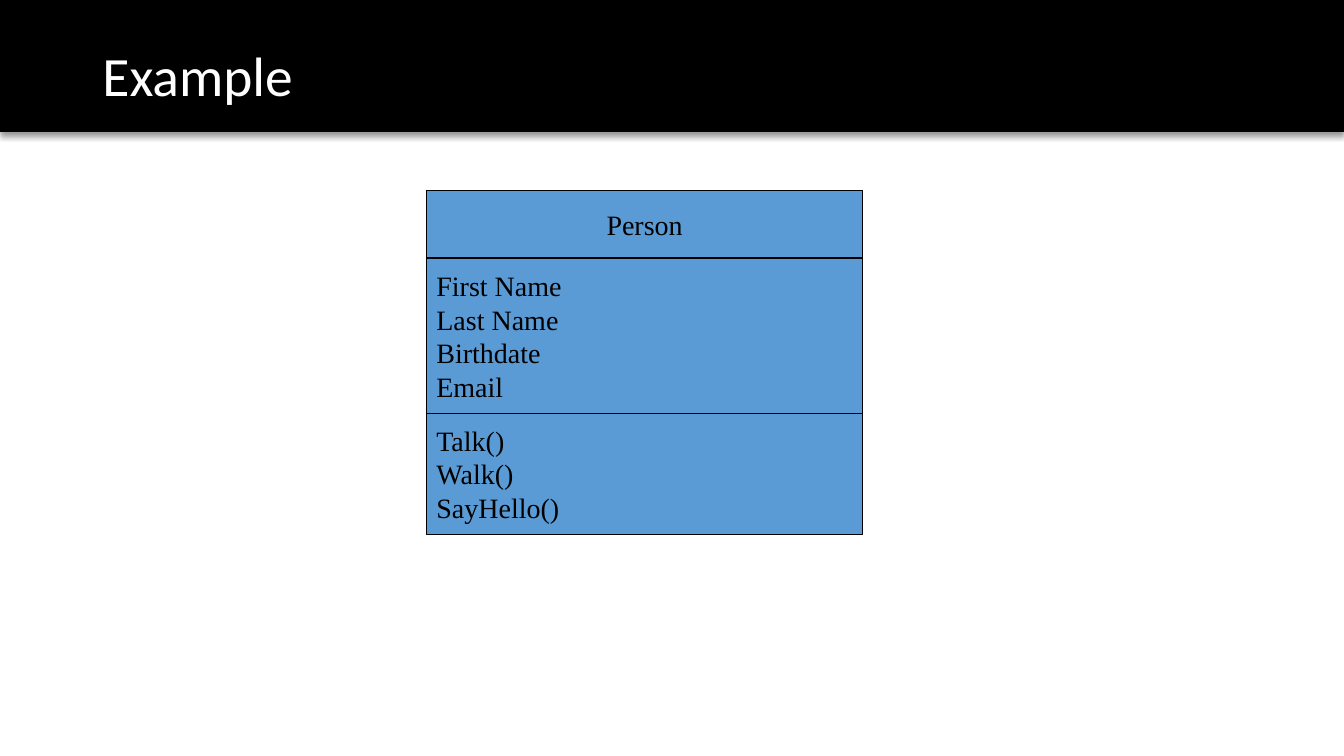
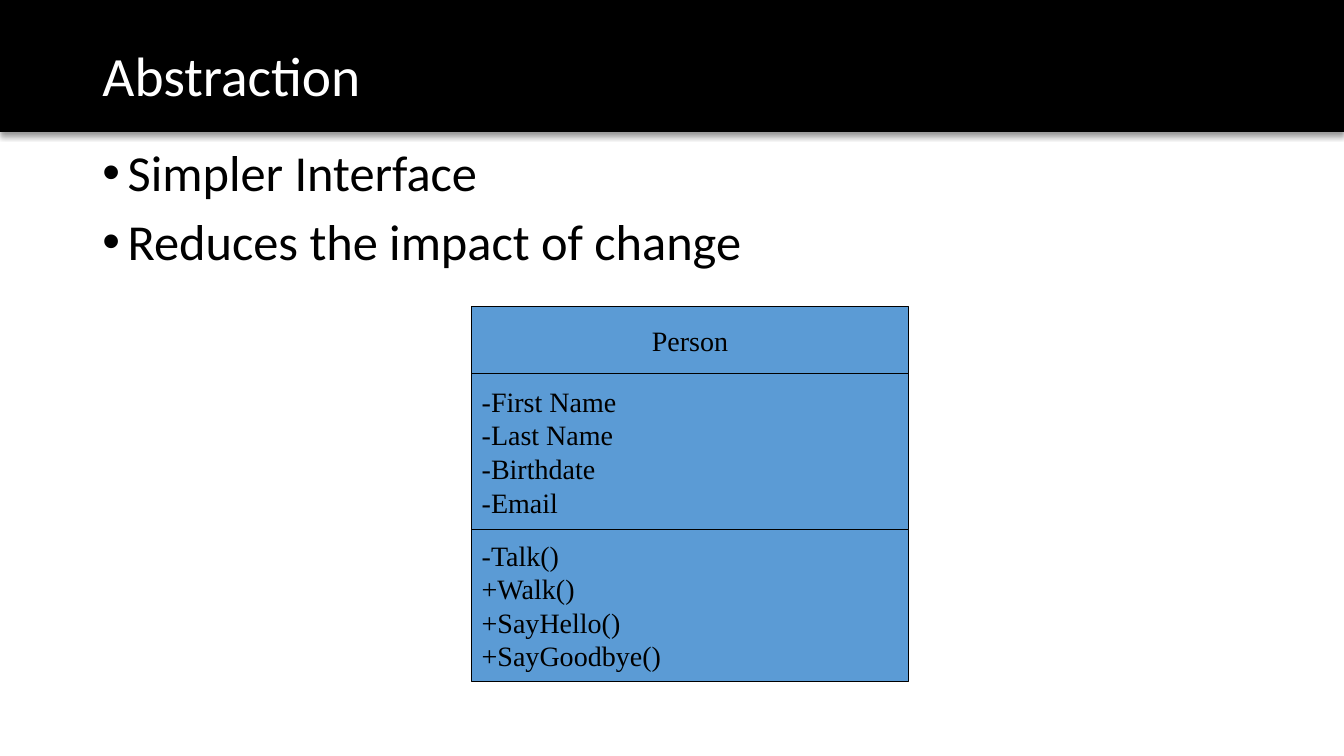
from dataclasses import dataclass

from lxml.etree import SubElement
from pptx import Presentation
from pptx.dml.color import RGBColor
from pptx.enum.shapes import MSO_SHAPE
from pptx.enum.text import MSO_ANCHOR, MSO_AUTO_SIZE, PP_ALIGN
from pptx.oxml import parse_xml
from pptx.oxml.ns import nsdecls, qn
from pptx.util import Pt


@dataclass(frozen=True)
class Theme:
    black: RGBColor = RGBColor(0, 0, 0)
    white: RGBColor = RGBColor(255, 255, 255)
    blue: RGBColor = RGBColor(0x5B, 0x9B, 0xD5)
    sans: str = "Calibri"
    serif: str = "Times New Roman"
    title: float = 39.6
    body: float = 36
    label: float = 20


THEME = Theme()
WIDTH, HEIGHT = 960, 540
BAND = 94.3
LEFT, SPAN = 66, 828
BOX = 311.8
HEAD, FIELDS = 48.2, 110.9

SHADOW = (
    f'<a:effectLst {nsdecls("a")}>'
    f'<a:outerShdw blurRad="{Pt(4)}" dist="{Pt(3)}" dir="5400000" algn="t" rotWithShape="0">'
    '<a:srgbClr val="000000"><a:alpha val="40000"/></a:srgbClr>'
    "</a:outerShdw></a:effectLst>"
)


def place(shape, left, top, width, height):
    shape.left, shape.top = Pt(left), Pt(top)
    shape.width, shape.height = Pt(width), Pt(height)


def style(para, face, size, color, align=PP_ALIGN.LEFT):
    para.alignment = align
    for run in para.runs:
        font = run.font
        font.name, font.size = face, Pt(size)
        font.color.rgb = color


def add_rect(slide, left, top, width, height, fill):
    rect = slide.shapes.add_shape(
        MSO_SHAPE.RECTANGLE, Pt(left), Pt(top), Pt(width), Pt(height)
    )
    rect.shadow.inherit = False
    rect.fill.solid()
    rect.fill.fore_color.rgb = fill
    return rect


def add_band(deck, slide):
    """Build the title band, then move it behind all else on the master."""
    band = add_rect(slide, 0, 0, WIDTH, BAND, THEME.black)
    band.line.fill.background()
    props = band.element.spPr
    props.remove(props.find(qn("a:effectLst")))
    props.append(parse_xml(SHADOW))
    deck.slide_master.element.cSld.spTree.insert(2, band.element)


def set_frame(shape):
    frame = shape.text_frame
    frame.auto_size = MSO_AUTO_SIZE.NONE
    frame.vertical_anchor = MSO_ANCHOR.TOP
    return frame


def set_title(slide, text):
    title = slide.shapes.title
    place(title, LEFT, 28.8, SPAN, 65.5)
    frame = set_frame(title)
    frame.margin_top = Pt(6)
    frame.text = text
    para = frame.paragraphs[0]
    para.line_spacing = 0.9
    style(para, THEME.sans, THEME.title, THEME.white)


def set_list(slide, items):
    body = slide.placeholders[1]
    place(body, LEFT, 102.2, SPAN, 384.5)
    frame = set_frame(body)
    frame.text = "\n".join(items)
    for i, para in enumerate(frame.paragraphs):
        para.line_spacing = 0.9
        para.space_before = Pt(10 if i else 0)
        props = para._p.get_or_add_pPr()
        props.set("marL", str(Pt(18)))
        props.set("indent", str(Pt(-18)))
        SubElement(props, qn("a:buFont"), typeface="Arial")
        SubElement(props, qn("a:buChar"), char="•")
        style(para, THEME.sans, THEME.body, THEME.black)


def add_part(slide, left, top, height, lines, align=PP_ALIGN.LEFT):
    part = add_rect(slide, left, top, BOX, height, THEME.blue)
    part.line.color.rgb = THEME.black
    part.line.width = Pt(0.75)
    frame = part.text_frame
    frame.word_wrap = True
    frame.vertical_anchor = MSO_ANCHOR.MIDDLE
    frame.text = "\n".join(lines)
    for para in frame.paragraphs:
        style(para, THEME.serif, THEME.label, THEME.black, align)


def add_class(slide, left, top, name, fields, calls, depth):
    """Stack the name, fields and methods of a class; depth is the last height."""
    add_part(slide, left, top, HEAD, [name], PP_ALIGN.CENTER)
    add_part(slide, left, top + HEAD, FIELDS, fields)
    add_part(slide, left, top + HEAD + FIELDS, depth, calls)


def main():
    deck = Presentation()
    deck.slide_width, deck.slide_height = Pt(WIDTH), Pt(HEIGHT)
    fields = ["First Name", "Last Name", "Birthdate", "Email"]

    slide = deck.slides.add_slide(deck.slide_layouts[5])
    add_band(deck, slide)
    set_title(slide, "Example")
    calls = ["Talk()", "Walk()", "SayHello()"]
    add_class(slide, 304.6, 136.1, "Person", fields, calls, 86.4)

    slide = deck.slides.add_slide(deck.slide_layouts[1])
    set_title(slide, "Abstraction")
    set_list(slide, ["Simpler Interface", "Reduces the impact of change"])
    hidden = [f"-{field}" for field in fields]
    calls = ["-Talk()", "+Walk()", "+SayHello()", "+SayGoodbye()"]
    add_class(slide, 337, 218.9, "Person", hidden, calls, 108.7)

    deck.save("out.pptx")


if __name__ == "__main__":
    main()
